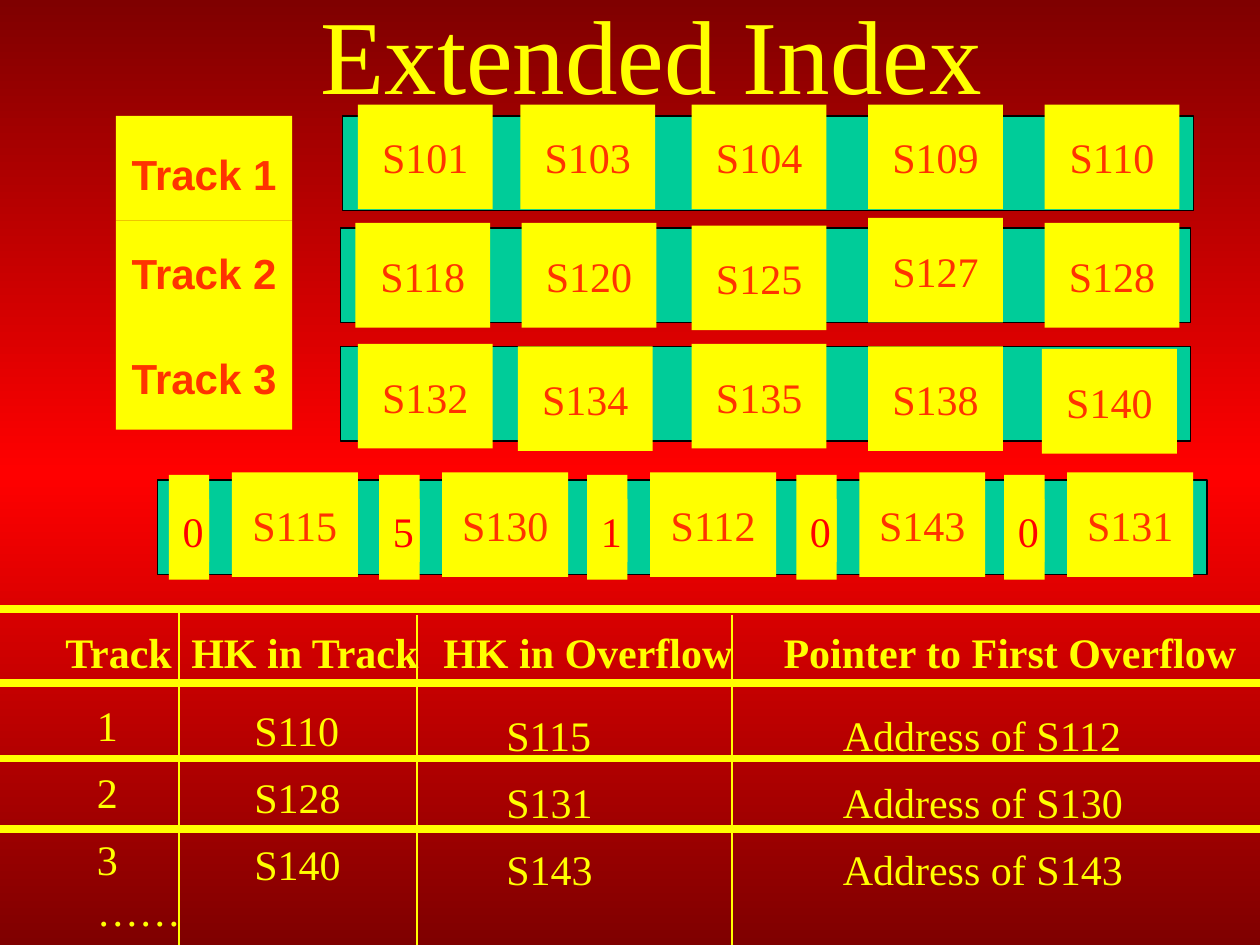
from copy import deepcopy

from lxml.etree import SubElement
from pptx import Presentation
from pptx.dml.color import RGBColor
from pptx.enum.shapes import MSO_CONNECTOR as Connector, MSO_SHAPE as Shape
from pptx.enum.text import MSO_ANCHOR as Anchor, PP_ALIGN as Align
from pptx.oxml.ns import qn
from pptx.util import Inches, Pt

YELLOW = RGBColor(0xFF, 0xFF, 0x00)
GREEN = RGBColor(0x00, 0xCC, 0x99)
ORANGE = RGBColor(0xFF, 0x33, 0x00)
RED = RGBColor(0xFF, 0x00, 0x00)
DARK_RED = RGBColor(0x7F, 0x00, 0x00)
BLACK = RGBColor(0x00, 0x00, 0x00)
SERIF, SANS = "Times New Roman", "Arial"
BLOCK_HEIGHT, BAND_HEIGHT = 0.83, 0.75

# Band left and top, then each record with its own left and top
TRACKS = [
    ("Track 1", 2.72, 0.92, [("S101", 2.84, 0.83), ("S103", 4.13, 0.83), ("S104", 5.49, 0.83),
                             ("S109", 6.89, 0.83), ("S110", 8.29, 0.83)]),
    ("Track 2", 2.7, 1.81, [("S118", 2.82, 1.77), ("S120", 4.14, 1.77), ("S125", 5.49, 1.79),
                            ("S127", 6.89, 1.73), ("S128", 8.29, 1.77)]),
    ("Track 3", 2.7, 2.75, [("S132", 2.84, 2.73), ("S134", 4.11, 2.75), ("S135", 5.49, 2.73),
                            ("S138", 6.89, 2.75), ("S140", 8.27, 2.77)]),
]
OVERFLOW = [("0", "S115", 1.84), ("5", "S130", 3.51), ("1", "S112", 5.16),
            ("0", "S143", 6.82), ("0", "S131", 8.47)]

INDEX_HEADERS = ["Track", "HK in Track", "HK in Overflow", "Pointer to First Overflow"]
HEADER_TABS = [1.0, 3.0, 5.7]
# Left, top, width, height and entries
INDEX_COLUMNS = [
    (0.67, 5.5, 0.98, 1.97, ["1", "2", "3", "……"]),
    (1.92, 5.54, 1.0, 1.57, ["S110", "S128", "S140"]),
    (3.92, 5.58, 1.0, 1.57, ["S115", "S131", "S143"]),
    (6.59, 5.58, 2.55, 1.57, ["Address of S112", "Address of S130", "Address of S143"]),
]
ROW_RULES = [4.83, 5.42, 6.02, 6.58]
COLUMN_RULES = [(1.42, 4.83), (3.31, 4.88), (5.81, 4.88)]


def style(paragraph, color, size=24, name=SERIF, bold=False, align=Align.LEFT):
    paragraph.alignment = align
    font = paragraph.font
    font.size, font.name, font.bold = Pt(size), name, bold
    font.color.rgb = color


def add_block(slide, left, top, width, height, fill, line=None):
    shape = slide.shapes.add_shape(Shape.RECTANGLE, *map(Inches, (left, top, width, height)))
    shape.shadow.inherit = False
    shape.fill.solid()
    shape.fill.fore_color.rgb = fill
    if line is None:
        shape.line.fill.background()
    else:
        shape.line.color.rgb = line
        shape.line.width = Pt(0.75)
    return shape


def add_label_block(slide, text, left, top, width, **font):
    shape = add_block(slide, left, top, width, BLOCK_HEIGHT, YELLOW)
    shape.text_frame.text = text
    shape.text_frame.vertical_anchor = Anchor.MIDDLE
    style(shape.text_frame.paragraphs[0], ORANGE, align=Align.CENTER, **font)
    return shape


def add_text(slide, left, top, width, height, lines):
    frame = slide.shapes.add_textbox(*map(Inches, (left, top, width, height))).text_frame
    frame.word_wrap = True
    frame.text = "\n".join(lines)
    return frame


def add_rule(slide, x1, y1, x2, y2, width):
    line = slide.shapes.add_connector(Connector.STRAIGHT, *map(Inches, (x1, y1, x2, y2)))
    line.line.color.rgb = YELLOW
    line.line.width = Pt(width)
    SubElement(line.element.spPr, qn("a:effectLst"))


def paint_background(slide):
    fill = slide.background.fill
    fill.gradient()
    fill.gradient_angle = 90
    stop_list = next(slide.element.iter(qn("a:gsLst")))
    stop_list.insert(1, deepcopy(stop_list[0]))
    for stop, position, color in zip(fill.gradient_stops, (0, 0.5, 1), (DARK_RED, RED, DARK_RED)):
        stop.position = position
        stop.color.rgb = color


def add_tracks(slide):
    for _, left, top, _ in reversed(TRACKS):
        add_block(slide, left, top, 6.75, BAND_HEIGHT, GREEN, BLACK)
    for row, (name, _, _, records) in enumerate(TRACKS):
        label = add_label_block(slide, name, 0.92, 0.92 + row * BLOCK_HEIGHT, 1.4, name=SANS, bold=True)
        if row == 0:
            frame = label.text_frame
            frame.margin_left = frame.margin_right = frame.margin_bottom = 0
            frame.margin_top = Inches(0.08)
        for record, left, top in records:
            add_label_block(slide, record, left, top, 1.07)


def add_overflow(slide):
    add_block(slide, 1.25, 3.81, 8.33, BAND_HEIGHT, GREEN, BLACK)
    for pointer, record, left in OVERFLOW:
        add_label_block(slide, record, left, 3.75, 1)
        add_block(slide, left - 0.5, 3.77, 0.32, BLOCK_HEIGHT, YELLOW)
        digit = add_block(slide, left - 0.49, 3.96, 0.31, 0.5, YELLOW)
        digit.text_frame.text = pointer
        digit.text_frame.vertical_anchor = Anchor.TOP
        style(digit.text_frame.paragraphs[0], RED)


def add_index(slide):
    header = add_text(slide, 0.42, 4.92, 9.58, 0.5, ["\t".join(INDEX_HEADERS)]).paragraphs[0]
    tab_list = SubElement(header._p.get_or_add_pPr(), qn("a:tabLst"))
    for position in HEADER_TABS:
        SubElement(tab_list, qn("a:tab"), pos=str(Inches(position)), algn="l")
    style(header, YELLOW, bold=True)

    for left, top, width, height, entries in INDEX_COLUMNS:
        frame = add_text(slide, left, top, width, height, entries)
        for row, paragraph in enumerate(frame.paragraphs):
            style(paragraph, YELLOW)
            if row in (1, 2):
                paragraph.space_before = Pt(9.7)

    for y in ROW_RULES:
        add_rule(slide, 0, y, 10, y, 4.5)
    for x, top in COLUMN_RULES:
        add_rule(slide, x, top, x, 7.5, 0.75)


def main():
    presentation = Presentation()
    presentation.slide_width, presentation.slide_height = Inches(10), Inches(7.5)
    slide = presentation.slides.add_slide(presentation.slide_layouts[6])
    paint_background(slide)
    title = add_text(slide, 0.92, 0, 8.5, 0.83, ["Extended Index"])
    title.vertical_anchor = Anchor.MIDDLE
    style(title.paragraphs[0], YELLOW, size=60, align=Align.CENTER)
    add_tracks(slide)
    add_overflow(slide)
    add_index(slide)
    presentation.save("out.pptx")


if __name__ == "__main__":
    main()
